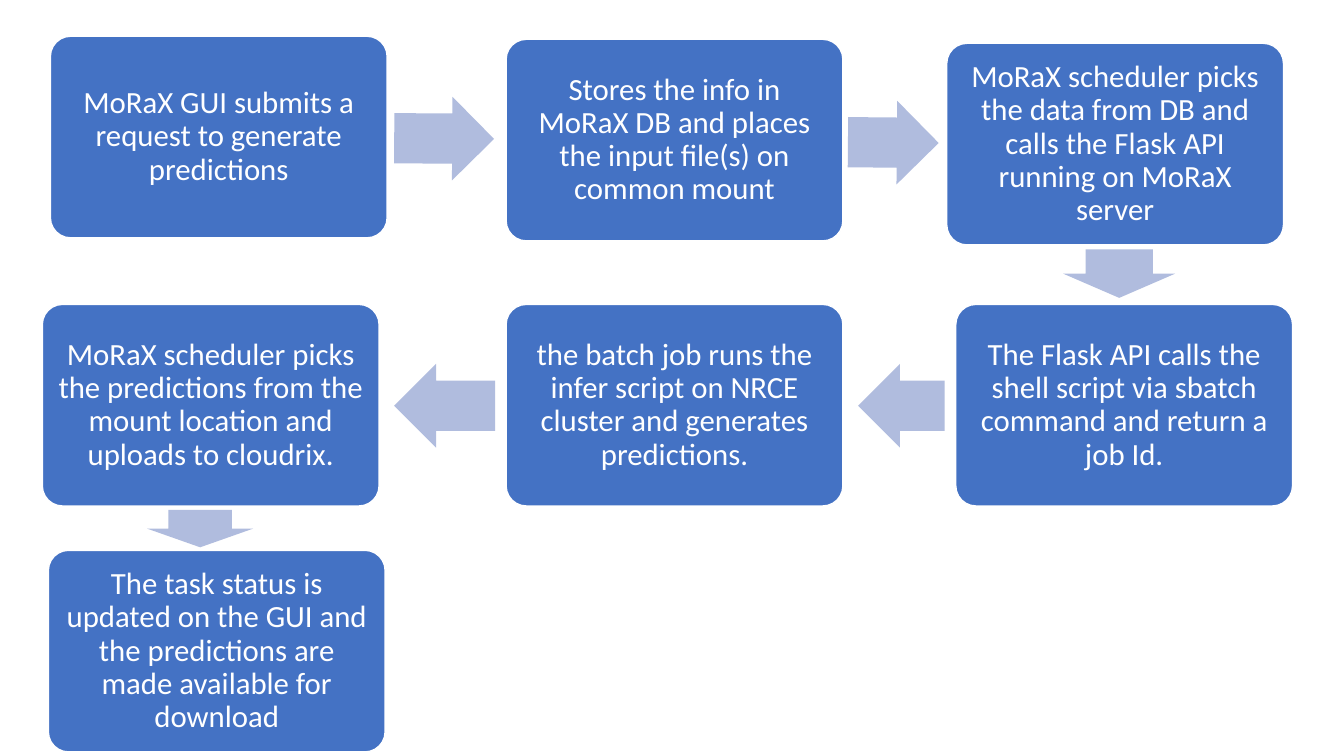
from pptx import Presentation
from pptx.dml.color import RGBColor
from pptx.enum.shapes import MSO_SHAPE
from pptx.enum.text import MSO_ANCHOR, PP_ALIGN
from pptx.util import Inches, Pt

STEP_BLUE = RGBColor(0x44, 0x72, 0xC4)
ARROW_BLUE = RGBColor(0xB0, 0xBC, 0xDE)
WHITE = RGBColor(0xFF, 0xFF, 0xFF)

STEP_WIDTH, STEP_HEIGHT = 3.34, 2
STEP_MARGIN = Inches(0.09)

# Steps in order: left, top, wording
steps = [
    (0.5, 0.36, "MoRaX GUI submits a request to generate predictions"),
    (5.02, 0.39, "Stores the info in MoRaX DB and places the input file(s) on common mount"),
    (9.39, 0.43, "MoRaX scheduler picks the data from DB and calls the Flask API running on MoRaX server"),
    (9.48, 3.02, "The Flask API calls the shell script via sbatch command and return a job Id."),
    (5.02, 3.02, "the batch job runs the infer script on NRCE cluster and generates predictions."),
    (0.42, 3.02, "MoRaX scheduler picks the predictions from the mount location and uploads to cloudrix."),
    (0.48, 5.46, "The task status is updated on the GUI and the predictions are made available for download"),
]

# Arrows between consecutive steps: left, top, width, height, rotation
arrows = [
    (3.91, 0.96, 0.99, 0.83, 0.4),
    (8.41, 1, 0.9, 0.83, 0.5),
    (10.86, 2.16, 0.48, 1.11, 90),
    (8.51, 3.61, 0.86, 0.83, 180),
    (3.91, 3.61, 1, 0.83, 180),
    (1.8, 4.72, 0.37, 1.05, 90),
]

prs = Presentation()
prs.slide_width = Inches(13.33)
prs.slide_height = Inches(7.5)
slide = prs.slides.add_slide(prs.slide_layouts[6])

# Step boxes
for left, top, wording in steps:
    step = slide.shapes.add_shape(
        MSO_SHAPE.ROUNDED_RECTANGLE,
        Inches(left), Inches(top), Inches(STEP_WIDTH), Inches(STEP_HEIGHT))
    step.adjustments[0] = 0.1
    step.shadow.inherit = False
    step.fill.solid()
    step.fill.fore_color.rgb = STEP_BLUE
    step.line.color.rgb = WHITE
    step.line.width = Pt(1)

    frame = step.text_frame
    frame.word_wrap = True
    frame.vertical_anchor = MSO_ANCHOR.MIDDLE
    frame.margin_left = frame.margin_right = STEP_MARGIN
    frame.margin_top = frame.margin_bottom = STEP_MARGIN

    paragraph = frame.paragraphs[0]
    paragraph.text = wording
    paragraph.alignment = PP_ALIGN.CENTER
    paragraph.line_spacing = 0.9
    paragraph.font.name = "Calibri"
    paragraph.font.size = Pt(22)
    paragraph.font.color.rgb = WHITE

# Flow arrows
for left, top, width, height, rotation in arrows:
    arrow = slide.shapes.add_shape(
        MSO_SHAPE.RIGHT_ARROW,
        Inches(left), Inches(top), Inches(width), Inches(height))
    arrow.adjustments[0] = 0.6
    arrow.adjustments[1] = 0.5
    arrow.rotation = rotation
    arrow.shadow.inherit = False
    arrow.fill.solid()
    arrow.fill.fore_color.rgb = ARROW_BLUE
    arrow.line.fill.background()

prs.save("out.pptx")
